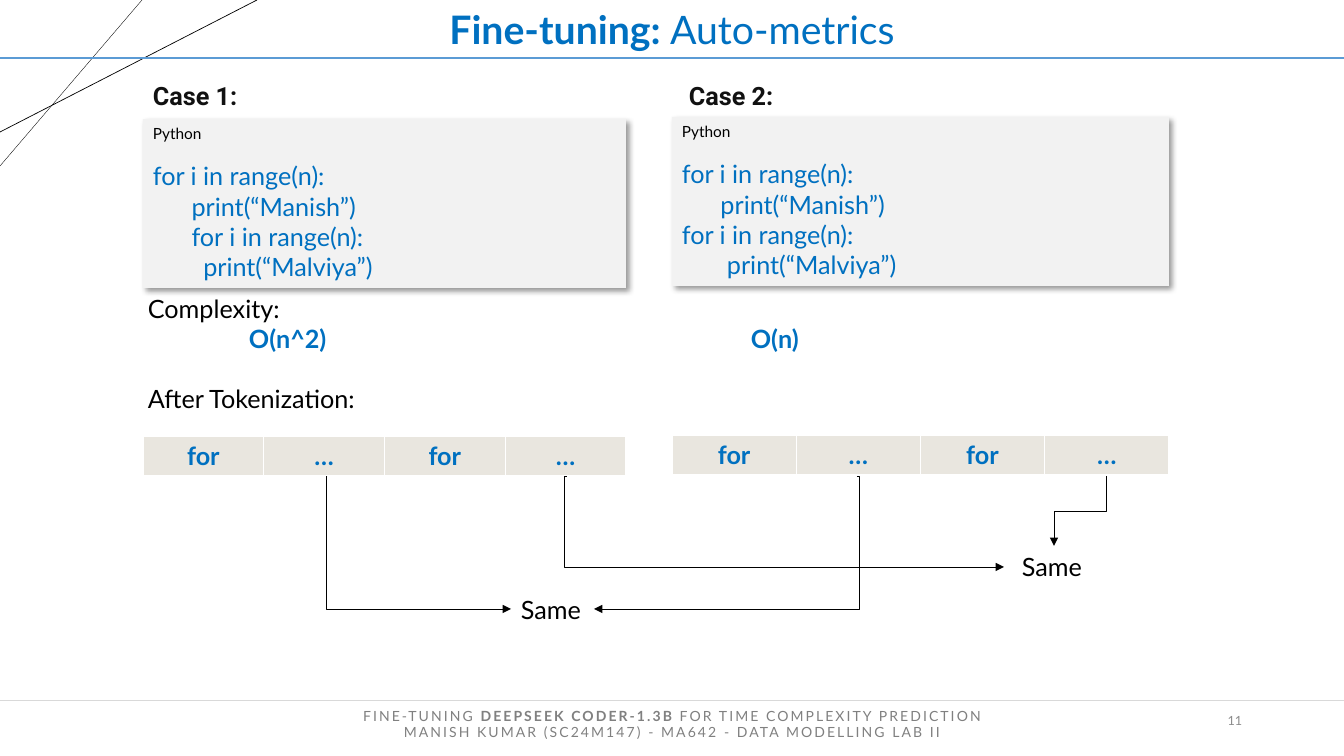
from lxml import etree
from pptx import Presentation
from pptx.dml.color import RGBColor
from pptx.enum.shapes import MSO_CONNECTOR, MSO_SHAPE
from pptx.enum.text import MSO_ANCHOR, PP_ALIGN
from pptx.oxml.ns import qn
from pptx.util import Emu, Pt

RECTANGLE = MSO_SHAPE.RECTANGLE
STRAIGHT, ELBOW = MSO_CONNECTOR.STRAIGHT, MSO_CONNECTOR.ELBOW
LEFT, CENTER, RIGHT = PP_ALIGN.LEFT, PP_ALIGN.CENTER, PP_ALIGN.RIGHT
TOP, MIDDLE = MSO_ANCHOR.TOP, MSO_ANCHOR.MIDDLE

BLACK = RGBColor(0x00, 0x00, 0x00)
HEADING_INK = RGBColor(0x11, 0x11, 0x11)
WHITE = RGBColor(0xFF, 0xFF, 0xFF)
BLUE = RGBColor(0x00, 0x70, 0xC0)
RULE_BLUE = RGBColor(0x5B, 0x9B, 0xD5)
RULE_GREY = RGBColor(0xD9, 0xD9, 0xD9)
CODE_GREY = RGBColor(0xF2, 0xF2, 0xF2)
TOKEN_BEIGE = RGBColor(0xE9, 0xE6, 0xDF)
FOOTER_GREY = RGBColor(0x80, 0x80, 0x80)
NUMBER_GREY = RGBColor(0x8C, 0x8C, 0x8C)

# Content; lengths in px, a run is (text, bold)
SLIDE_W, SLIDE_H = 1344, 756
TITLE = [("Fine-tuning: ", True), ("Auto-metrics", False)]
FOOTER = [
    [("FINE-TUNING ", False), ("DEEPSEEK CODER-1.3B ", True),
     ("FOR TIME COMPLEXITY PREDICTION", False)],
    [("MANISH KUMAR (SC24M147) - MA642 - DATA MODELLING LAB II", False)],
]
PAGE_NUMBER = "11"
CASE_HEADINGS = "Case 1:\tCase 2:"
CASE_2_TAB = 536
LANGUAGE = "Python"
TOKENS = ["for", "…", "for", "…"]
CASES = [
    {"left": 143, "width": 483, "code_top": 119, "token_top": 436,
     "code": ["for i in range(n):", "      print(“Manish”)",
              "      for i in range(n):", "\tprint(“Malviya”)"]},
    {"left": 672, "width": 497, "code_top": 117, "token_top": 435,
     "code": ["for i in range(n):", "      print(“Manish”)",
              "for i in range(n):", "       print(“Malviya”)"]},
]
CODE_H, TOKEN_H = 169, 41
VERDICT = "Same"
VERDICT_SPOTS = [(511, 589), (1012, 546)]
VERDICT_W, VERDICT_H = 84, 41
# start, end, x of the vertical leg
SIDE_ARROWS = [
    ((327, 476), (511, 609), 326),
    ((857, 476), (594, 609), 859),
    ((567, 476), (1004, 567), 564),
]
DOWN_ARROW = ((1106, 476), (1054, 546))
# start, end, colour, points
RULES = [
    ((142, 0), (0, 166), BLACK, 0.25),
    ((257, 0), (0, 132), BLACK, 0.5),
    ((0, 58), (SLIDE_W, 58), RULE_BLUE, 1.5),
    ((0, 700), (SLIDE_W, 700), RULE_GREY, 0.5),
]


def px(length):
    return Emu(round(length * 914400 / 100.8))


prs = Presentation()
prs.slide_width, prs.slide_height = px(SLIDE_W), px(SLIDE_H)
slide = prs.slides.add_slide(prs.slide_layouts[6])
shapes = slide.shapes


def add_line(frame, runs, size=18, color=BLACK, font="Lato", bold=False,
             align=LEFT, spacing=None, before=None, indent=0, tab=None, tracking=None):
    """Write one paragraph, into the empty first one where there is one."""
    first = frame.paragraphs[0]
    paragraph = frame.add_paragraph() if first.runs else first
    paragraph.alignment = align
    if spacing:
        paragraph.line_spacing = spacing
    if before:
        paragraph.space_before = Pt(before)
    properties = paragraph._p.get_or_add_pPr()
    if indent:
        properties.set("marL", str(px(indent)))
    if tab:
        stops = etree.SubElement(properties, qn("a:tabLst"))
        etree.SubElement(stops, qn("a:tab"), pos=str(px(tab)), algn="l")
    for text, is_bold in [(runs, bold)] if isinstance(runs, str) else runs:
        run = paragraph.add_run()
        run.text = text
        run.font.size, run.font.name, run.font.bold = Pt(size), font, is_bold
        run.font.color.rgb = color
        if tracking:
            run.font._element.set("spc", str(round(tracking * 100)))


def add_frame(left, top, width, height, anchor=TOP):
    frame = shapes.add_textbox(px(left), px(top), px(width), px(height)).text_frame
    frame.word_wrap, frame.vertical_anchor = True, anchor
    return frame


def add_panel(left, top, width, height, fill):
    panel = shapes.add_shape(RECTANGLE, px(left), px(top), px(width), px(height))
    panel.shadow.inherit = False
    panel.fill.solid()
    panel.fill.fore_color.rgb = fill
    panel.line.fill.background()
    panel.text_frame.word_wrap = True
    panel.text_frame.vertical_anchor = TOP
    return panel


def add_rule(kind, start, end, color, points):
    rule = shapes.add_connector(kind, *map(px, start + end))
    rule.line.color.rgb, rule.line.width = color, Pt(points)
    etree.SubElement(rule._element.spPr, qn("a:effectLst"))
    return rule


def add_arrow(start, end, bend, turned=False):
    """Elbow arrow; bend is the share of the way at which it turns."""
    if turned:
        mid_x, mid_y = (start[0] + end[0]) / 2, (start[1] + end[1]) / 2
        half_w, half_h = abs(end[1] - start[1]) / 2, abs(end[0] - start[0]) / 2
        start, end = (mid_x - half_w, mid_y - half_h), (mid_x + half_w, mid_y + half_h)
    arrow = add_rule(ELBOW, start, end, BLACK, 0.5)
    properties = arrow._element.spPr
    if turned:
        properties.find(qn("a:xfrm")).set("rot", "5400000")
    guides = properties.find(qn("a:prstGeom")).find(qn("a:avLst"))
    etree.SubElement(guides, qn("a:gd"), name="adj1", fmla=f"val {round(bend * 100000)}")
    etree.SubElement(properties.find(qn("a:ln")), qn("a:tailEnd"), type="triangle")


def add_border(cell, side, position, points):
    border = etree.Element(qn(f"a:ln{side}"), w=str(Pt(points)))
    fill = etree.SubElement(border, qn("a:solidFill"))
    etree.SubElement(fill, qn("a:srgbClr"), val=str(WHITE))
    cell._tc.get_or_add_tcPr().insert(position, border)


# Title, rules and footer
title = add_panel(0, 0, SLIDE_W, 57, WHITE)
add_line(title.text_frame, TITLE, size=28, color=BLUE, align=CENTER)
for rule in RULES:
    add_rule(STRAIGHT, *rule)
footer = add_frame(181, 694, 982, 62, MIDDLE)
for footer_line in FOOTER:
    add_line(footer, footer_line, size=10, color=FOOTER_GREY, align=CENTER,
             spacing=0.9, tracking=1.5)
add_line(add_frame(1143, 700, 109, 40, MIDDLE), PAGE_NUMBER, size=9,
         color=NUMBER_GREY, align=RIGHT)

# Case headings
add_line(add_frame(143, 60, 1042, 50), CASE_HEADINGS, color=HEADING_INK, font="Roboto",
         bold=True, spacing=1.5, tab=CASE_2_TAB)

# Code panels and token rows
for case in CASES:
    panel = add_panel(case["left"], case["code_top"], case["width"], CODE_H, CODE_GREY)
    effects = panel._element.spPr.find(qn("a:effectLst"))
    shadow = etree.SubElement(effects, qn("a:outerShdw"), blurRad=str(Pt(4)),
                              dist=str(Pt(3)), dir="2700000", algn="tl", rotWithShape="0")
    shade = etree.SubElement(shadow, qn("a:srgbClr"), val=str(BLACK))
    etree.SubElement(shade, qn("a:alpha"), val="40000")
    add_line(panel.text_frame, LANGUAGE, size=11)
    for number, code_line in enumerate(case["code"]):
        add_line(panel.text_frame, code_line, color=BLUE, before=0 if number else 13)

    tokens = shapes.add_table(1, len(TOKENS), px(case["left"]), px(case["token_top"]),
                              px(case["width"]), px(TOKEN_H)).table
    tokens.first_row = tokens.horz_banding = False
    for cell, token in zip(tokens.rows[0].cells, TOKENS):
        cell.fill.solid()
        cell.fill.fore_color.rgb = TOKEN_BEIGE
        add_line(cell.text_frame, token, color=BLUE, bold=True, align=CENTER)
        for position, (side, points) in enumerate(zip("LRTB", (1, 1, 1, 3))):
            add_border(cell, side, position, points)

# Complexity of each case
complexity = add_frame(138, 288, 500, 132)
add_line(complexity, "Complexity:")
add_line(complexity, "O(n^2)", color=BLUE, bold=True, indent=101)
add_line(complexity, "After Tokenization:", before=21.6)
add_line(add_frame(741, 318, 300, 41), "O(n)", color=BLUE, bold=True)

# Arrows from matching tokens to their verdicts
for start, end, leg_x in SIDE_ARROWS:
    add_arrow(start, end, (leg_x - start[0]) / (end[0] - start[0]))
add_arrow(*DOWN_ARROW, 0.5, turned=True)
for left, top in VERDICT_SPOTS:
    add_line(add_frame(left, top, VERDICT_W, VERDICT_H), VERDICT)

prs.save("out.pptx")
